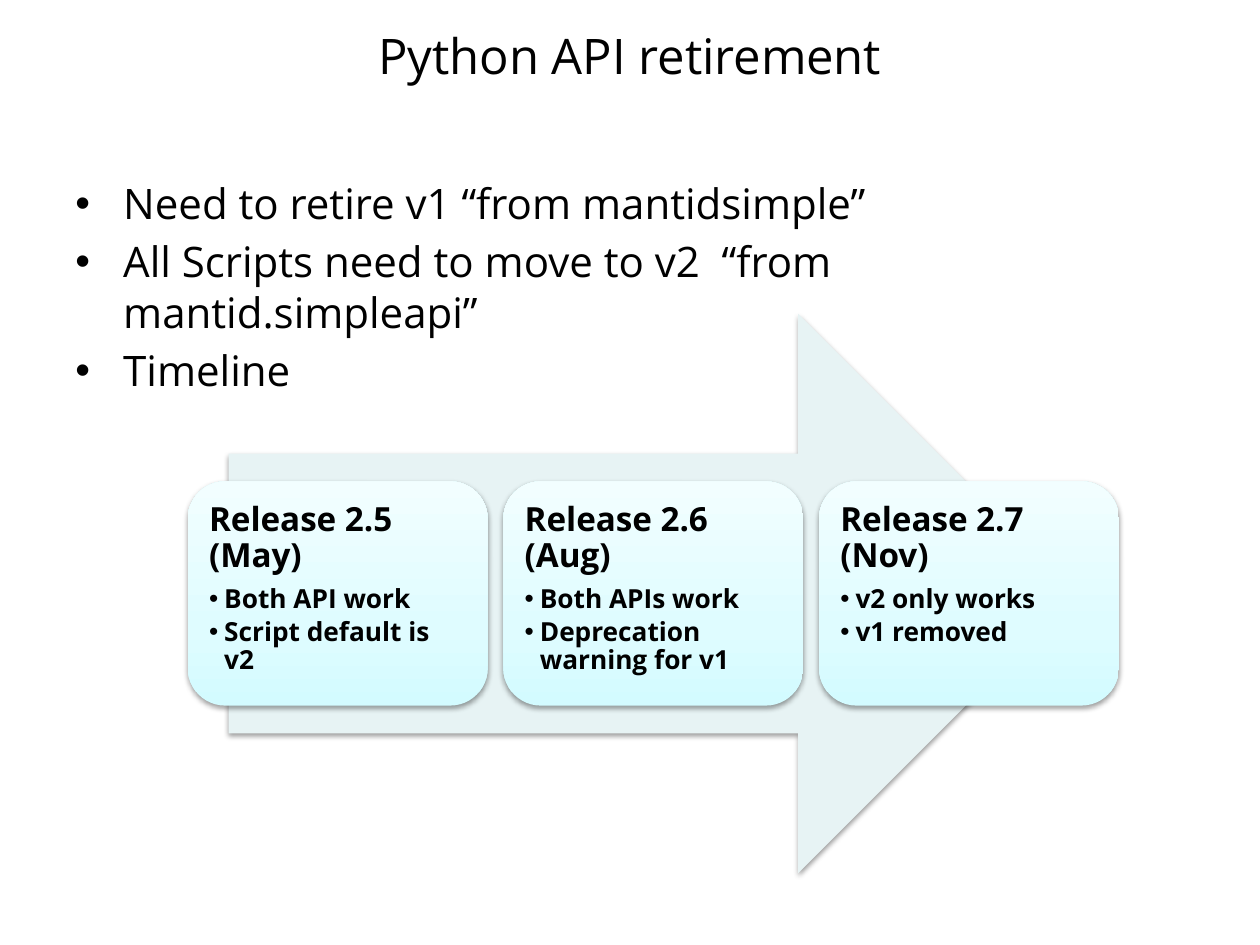
from copy import deepcopy

from lxml import etree
from pptx import Presentation
from pptx.dml.color import RGBColor
from pptx.enum.shapes import MSO_SHAPE
from pptx.enum.text import MSO_ANCHOR, PP_ALIGN
from pptx.oxml import parse_xml
from pptx.oxml.ns import nsdecls, qn
from pptx.util import Inches, Pt

RIGHT_ARROW = MSO_SHAPE.RIGHT_ARROW
ROUNDED = MSO_SHAPE.ROUNDED_RECTANGLE
TOP, MIDDLE = MSO_ANCHOR.TOP, MSO_ANCHOR.MIDDLE
LEFT, CENTER = PP_ALIGN.LEFT, PP_ALIGN.CENTER

FONT = "Open Sans"
BLACK = RGBColor(0x00, 0x00, 0x00)
ARROW_FILL = RGBColor(0xE7, 0xF3, 0xF4)
CARD_STOPS = [
    (0, RGBColor(0xD3, 0xFB, 0xFF)),
    (0.35, RGBColor(0xDF, 0xFC, 0xFF)),
    (1, RGBColor(0xF2, 0xFE, 0xFF)),
]

BULLETS = [
    "Need to retire v1 “from mantidsimple”",
    "All Scripts need to move to v2  “from mantid.simpleapi”",
    "Timeline",
]
RELEASES = [
    ("Release 2.5 (May)", ["Both API work", "Script default is v2"]),
    ("Release 2.6 (Aug)", ["Both APIs work", "Deprecation warning for v1"]),
    ("Release 2.7 (Nov)", ["v2 only works", "v1 removed"]),
]


def add_box(slide, left, top, width, height, anchor=TOP, inset=None):
    """Add a wrapping text box and return its text frame."""
    box = slide.shapes.add_textbox(Inches(left), Inches(top), Inches(width), Inches(height))
    frame = box.text_frame
    frame.word_wrap = True
    frame.vertical_anchor = anchor
    if inset is not None:
        frame.margin_left = frame.margin_right = Inches(inset)
        frame.margin_top = frame.margin_bottom = Inches(inset)
    return frame


def write(frame, text, size, bold=False, align=LEFT, indent=None,
          line_spacing=None, before=0, after=0):
    """Write one paragraph; an indent makes it a bullet."""
    first = frame.paragraphs[0]
    is_first = not first.runs
    paragraph = first if is_first else frame.add_paragraph()
    paragraph.alignment = align
    paragraph.line_spacing = line_spacing
    paragraph.space_before = Pt(0 if is_first else before)
    paragraph.space_after = Pt(after)
    if indent:
        properties = paragraph._p.get_or_add_pPr()
        properties.set("marL", str(Inches(indent)))
        properties.set("indent", str(-Inches(indent)))
        etree.SubElement(properties, qn("a:buFont")).set("typeface", "Arial")
        etree.SubElement(properties, qn("a:buChar")).set("char", "•")
    run = paragraph.add_run()
    run.text = text
    run.font.name = FONT
    run.font.size = Pt(size)
    run.font.bold = bold
    run.font.color.rgb = BLACK


def add_shadowed_shape(slide, kind, left, top, width, height):
    """Add a shape without outline and with a soft shadow below it."""
    shape = slide.shapes.add_shape(kind, Inches(left), Inches(top), Inches(width), Inches(height))
    shape.line.fill.background()
    shape.shadow.inherit = False
    shape._element.spPr.find(qn("a:effectLst")).append(parse_xml(
        f'<a:outerShdw {nsdecls("a")} blurRad="{Pt(3.1)}" dist="{Pt(1.6)}" '
        'dir="5400000" rotWithShape="0"><a:srgbClr val="000000">'
        '<a:alpha val="38000"/></a:srgbClr></a:outerShdw>'))
    return shape


def fill_gradient(shape, stops):
    """Fill upwards with the given colour stops."""
    shape.fill.gradient()
    shape.fill.gradient_angle = 90
    stop_list = shape._element.spPr.find(qn("a:gradFill")).find(qn("a:gsLst"))
    while len(stop_list) < len(stops):
        stop_list.append(deepcopy(stop_list[-1]))
    for stop, (position, color) in zip(shape.fill.gradient_stops, stops):
        stop.position = position
        stop.color.rgb = color


def add_title(slide, left, top, width, height):
    frame = add_box(slide, left, top, width, height, anchor=MIDDLE)
    write(frame, "Python API retirement", 28, align=CENTER)


def add_body(slide, left, top, width, height):
    frame = add_box(slide, left, top, width, height)
    for text in BULLETS:
        write(frame, text, 24, indent=0.38, before=4.5)


def add_release_card(slide, left, top, width, height, heading, points):
    card = add_shadowed_shape(slide, ROUNDED, left, top, width, height)
    fill_gradient(card, CARD_STOPS)
    pad = 0.09
    frame = add_box(slide, left + pad, top + pad, width - 2 * pad, height - 2 * pad, inset=0.08)
    write(frame, heading, 19, bold=True, line_spacing=0.9, after=6.65)
    for point in points:
        write(frame, point, 15, bold=True, indent=0.12, line_spacing=0.9, after=2.25)


def add_timeline(slide, left, top, width, height):
    # Arrow behind the cards
    arrow_width = 6.74
    arrow_left = left + (width - arrow_width) / 2
    arrow = add_shadowed_shape(slide, RIGHT_ARROW, arrow_left, top, arrow_width, height)
    arrow.fill.solid()
    arrow.fill.fore_color.rgb = ARROW_FILL

    # Cards spread evenly, centred on the arrow
    card_width, card_height = 2.38, 1.78
    step = (width - card_width) / (len(RELEASES) - 1)
    card_top = top + (height - card_height) / 2
    for index, (heading, points) in enumerate(RELEASES):
        add_release_card(slide, left + index * step, card_top,
                         card_width, card_height, heading, points)


def main():
    presentation = Presentation()
    presentation.slide_width = Inches(10)
    presentation.slide_height = Inches(7.5)
    slide = presentation.slides.add_slide(presentation.slide_layouts[6])
    add_title(slide, 0.5, -0.19, 9, 1.25)
    add_body(slide, 0.5, 1.36, 9, 4.6)
    add_timeline(slide, 1.49, 2.49, 7.39, 4.44)
    presentation.save("out.pptx")


if __name__ == "__main__":
    main()
